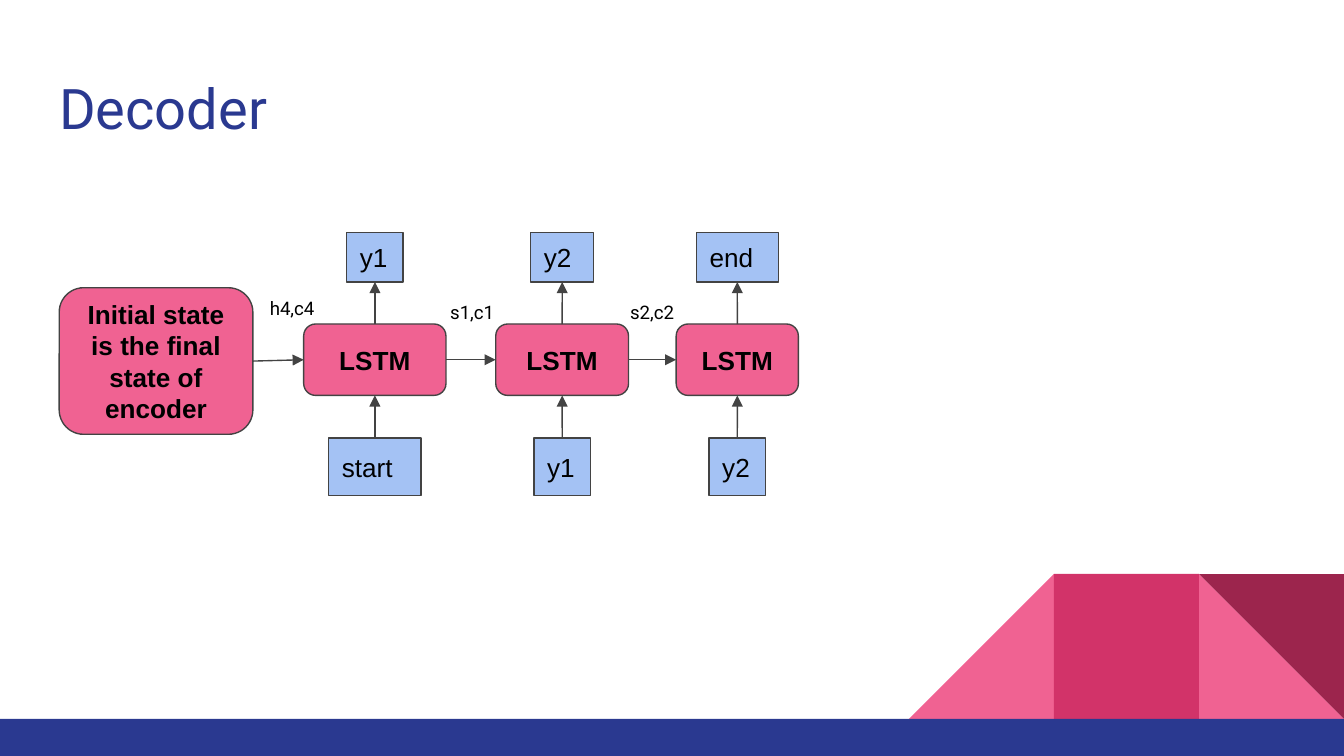
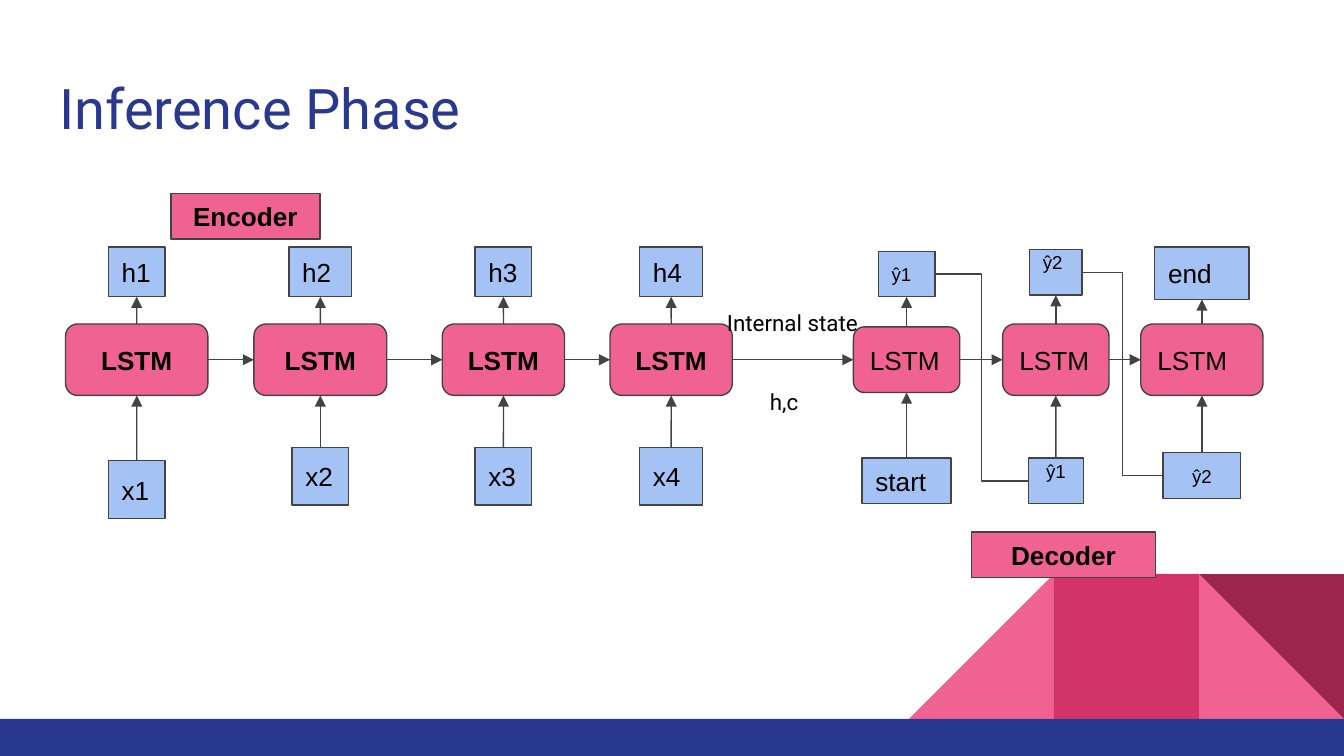
from dataclasses import dataclass
from lxml import etree
from pptx import Presentation
from pptx.dml.color import RGBColor
from pptx.enum import shapes, text
from pptx.oxml import ns
from pptx.util import Cm, Pt

KIND = shapes.MSO_SHAPE
LINK = shapes.MSO_CONNECTOR
ALIGN = text.PP_ALIGN
ANCHOR = text.MSO_ANCHOR
TOP, LEFT, BOTTOM, RIGHT = range(4)  # connection sites


@dataclass(frozen=True)
class Theme:
    pink: str = "F06292"
    rose: str = "D23369"
    wine: str = "9C254D"
    navy: str = "2A3990"
    blue: str = "A4C2F4"
    outline: str = "434343"
    ink: str = "000000"
    display: str = "Roboto"
    diagram: str = "Arial"
    title: int = 30
    node: int = 14
    label: int = 12
    small: int = 10
    stroke: float = 0.75
    inset: float = 0.25


THEME = Theme()
WIDTH, HEIGHT = 25.4, 14.29
CELL_MIDDLE = 6.8


@dataclass(frozen=True)
class State:
    """An input or output box, centred on its cell."""
    words: str
    width: float
    top: float
    height: float
    size: int = THEME.node
    align: int = ALIGN.LEFT
    raised: bool = False


def color(code):
    return RGBColor.from_string(code)


# Text
def write(shape, words, size, font, ink=THEME.ink, bold=False,
          align=ALIGN.LEFT, anchor=ANCHOR.TOP, top_inset=THEME.inset):
    frame = shape.text_frame
    frame.word_wrap = True
    frame.auto_size = text.MSO_AUTO_SIZE.NONE
    frame.vertical_anchor = anchor
    frame.margin_left = frame.margin_right = Cm(THEME.inset)
    frame.margin_top, frame.margin_bottom = Cm(top_inset), Cm(THEME.inset)
    frame.text = words
    para = frame.paragraphs[0]
    para.alignment = align
    para.font.size, para.font.name, para.font.bold = Pt(size), font, bold
    para.font.color.rgb = color(ink)


def label(page, words, left, top, width, height, size):
    box = page.shapes.add_textbox(Cm(left), Cm(top), Cm(width), Cm(height))
    write(box, words, size, THEME.display)


# Shapes
def block(page, kind, left, top, width, height, fill, outlined=False):
    shape = page.shapes.add_shape(kind, Cm(left), Cm(top), Cm(width), Cm(height))
    shape.shadow.inherit = False
    shape.fill.solid()
    shape.fill.fore_color.rgb = color(fill)
    if outlined:
        shape.line.color.rgb = color(THEME.outline)
        shape.line.width = Pt(THEME.stroke)
    else:
        shape.line.fill.background()
    return shape


def heading(page, words, left, top, width, height, kind=KIND.RECTANGLE,
            bold=True, align=ALIGN.CENTER):
    shape = block(page, kind, left, top, width, height, THEME.pink, True)
    write(shape, words, THEME.node, THEME.diagram, bold=bold, align=align,
          anchor=ANCHOR.MIDDLE)
    return shape


def state_box(page, state, center):
    shape = block(page, KIND.RECTANGLE, center - state.width / 2, state.top,
                  state.width, state.height, THEME.blue, True)
    write(shape, state.words, state.size, THEME.diagram, align=state.align,
          anchor=ANCHOR.TOP if state.raised else ANCHOR.MIDDLE,
          top_inset=0.03 if state.raised else THEME.inset)
    return shape


def connect(page, start, start_site, end, end_site, kind=LINK.STRAIGHT, arrow=True):
    line = page.shapes.add_connector(kind, 0, 0, 0, 0)
    line.begin_connect(start, start_site)
    line.end_connect(end, end_site)
    line.line.color.rgb = color(THEME.outline)
    line.line.width = Pt(THEME.stroke)
    props = line.element.spPr
    if arrow:
        etree.SubElement(props.find(ns.qn("a:ln")), ns.qn("a:tailEnd"), type="triangle")
    etree.SubElement(props, ns.qn("a:effectLst"))


# LSTM chains
def column(page, left, width, output, source, height=1.35, bold=True):
    """Draw input, cell and output in a column, joined by upward arrows."""
    center = left + width / 2
    cell = heading(page, "LSTM", left, CELL_MIDDLE - height / 2, width, height,
                   KIND.ROUNDED_RECTANGLE, bold, ALIGN.CENTER if bold else ALIGN.LEFT)
    above = state_box(page, output, center)
    below = state_box(page, source, center)
    connect(page, below, TOP, cell, BOTTOM)
    connect(page, cell, TOP, above, BOTTOM)
    return cell, above, below


def chain(page, cells):
    for before, after in zip(cells, cells[1:]):
        connect(page, before, RIGHT, after, LEFT)


# Shared page design
def prepare_layout(layout):
    for holder in list(layout.placeholders):
        if holder.placeholder_format.type == shapes.PP_PLACEHOLDER.TITLE:
            holder.left, holder.top = Cm(0.87), Cm(1.14)
            holder.width, holder.height = Cm(23.67), Cm(1.68)
        else:
            holder.element.getparent().remove(holder.element)


def decorate(page, layout):
    """Draw the ribbon and footer band, then move them to the layout."""
    side, footer = 2.74, 0.7
    top = HEIGHT - footer - side
    pieces = [(KIND.RIGHT_TRIANGLE, 1, THEME.pink, 0),
              (KIND.RIGHT_TRIANGLE, 3, THEME.pink, 270),
              (KIND.RECTANGLE, 2, THEME.rose, 0),
              (KIND.RIGHT_TRIANGLE, 1, THEME.wine, 180)]
    parts = []
    for kind, steps, fill, turn in pieces:
        part = block(page, kind, WIDTH - steps * side, top, side, side, fill)
        part.rotation = turn
        parts.append(part)
    parts.append(block(page, KIND.RECTANGLE, 0, HEIGHT - footer, WIDTH, footer, THEME.navy))
    for part in parts:
        layout.shapes.element.append(part.element)


def add_page(deck, layout, title):
    page = deck.slides.add_slide(layout)
    write(page.shapes.title, title, THEME.title, THEME.display, THEME.navy)
    return page


# Slides
def fill_decoder(page):
    initial = heading(page, "Initial state is the final state of encoder",
                      1.12, 5.44, 3.66, 2.77, KIND.ROUNDED_RECTANGLE)
    cells = [initial]
    for left, width, output, out_width, source, in_width in [
            (5.74, 2.69, "y1", 1.07, "start", 1.75),
            (9.37, 2.51, "y2", 1.19, "y1", 1.07),
            (12.78, 2.31, "end", 1.55, "y2", 1.07)]:
        cell, _, _ = column(page, left, width, State(output, out_width, 4.39, 0.94),
                            State(source, in_width, 8.28, 1.09))
        cells.append(cell)
    chain(page, cells)
    for words, left, top in [("h4,c4", 4.85, 5.36), ("s1,c1", 8.26, 5.43),
                             ("s2,c2", 11.66, 5.43)]:
        label(page, words, left, top, 1.4, 0.7, THEME.small)


def fill_inference(page):
    cells = []
    # Encoder
    for number, (left, width, out_width, in_width, in_top) in enumerate([
            (1.24, 2.69, 1.07, 1.07, 8.71), (4.8, 2.51, 1.19, 1.07, 8.46),
            (8.36, 2.31, 1.07, 1.07, 8.46), (11.53, 2.31, 1.19, 1.19, 8.46)], 1):
        cell, _, _ = column(page, left, width, State(f"h{number}", out_width, 4.67, 0.94),
                            State(f"x{number}", in_width, in_top, 1.09))
        cells.append(cell)

    # Decoder, each output fed back as the next input
    small, center = THEME.small, ALIGN.CENTER
    feedback = None
    for left, width, height, output, source in [
            (16.13, 2.01, 1.24, State("ŷ1", 1.07, 4.75, 0.86, small),
             State("start", 1.68, 8.66, 0.86)),
            (18.95, 2.01, 1.35, State("ŷ2", 0.99, 4.72, 0.86, small, raised=True),
             State("ŷ1", 1.04, 8.66, 0.86, small, center, True)),
            (21.56, 2.31, 1.35, State("end", 1.78, 4.67, 0.99),
             State("ŷ2", 1.47, 8.56, 0.86, small, center))]:
        cell, above, below = column(page, left, width, output, source, height, False)
        if feedback is not None:
            connect(page, feedback, RIGHT, below, LEFT, LINK.ELBOW, arrow=False)
        feedback = above
        cells.append(cell)
    chain(page, cells)

    # Captions
    label(page, "Internal state", 13.49, 5.59, 3.12, 1.35, THEME.label)
    label(page, "h,c", 14.3, 7.09, 1.47, 0.61, THEME.label)
    heading(page, "Encoder", 3.23, 3.66, 2.82, 0.86)
    heading(page, "Decoder", 18.36, 10.06, 3.48, 0.86)


def main():
    deck = Presentation()
    deck.slide_width, deck.slide_height = Cm(WIDTH), Cm(HEIGHT)
    layout = deck.slide_layouts[5]
    prepare_layout(layout)
    decoder = add_page(deck, layout, "Decoder")
    decorate(decoder, layout)
    fill_decoder(decoder)
    fill_inference(add_page(deck, layout, "Inference Phase"))
    deck.save("out.pptx")


main()
